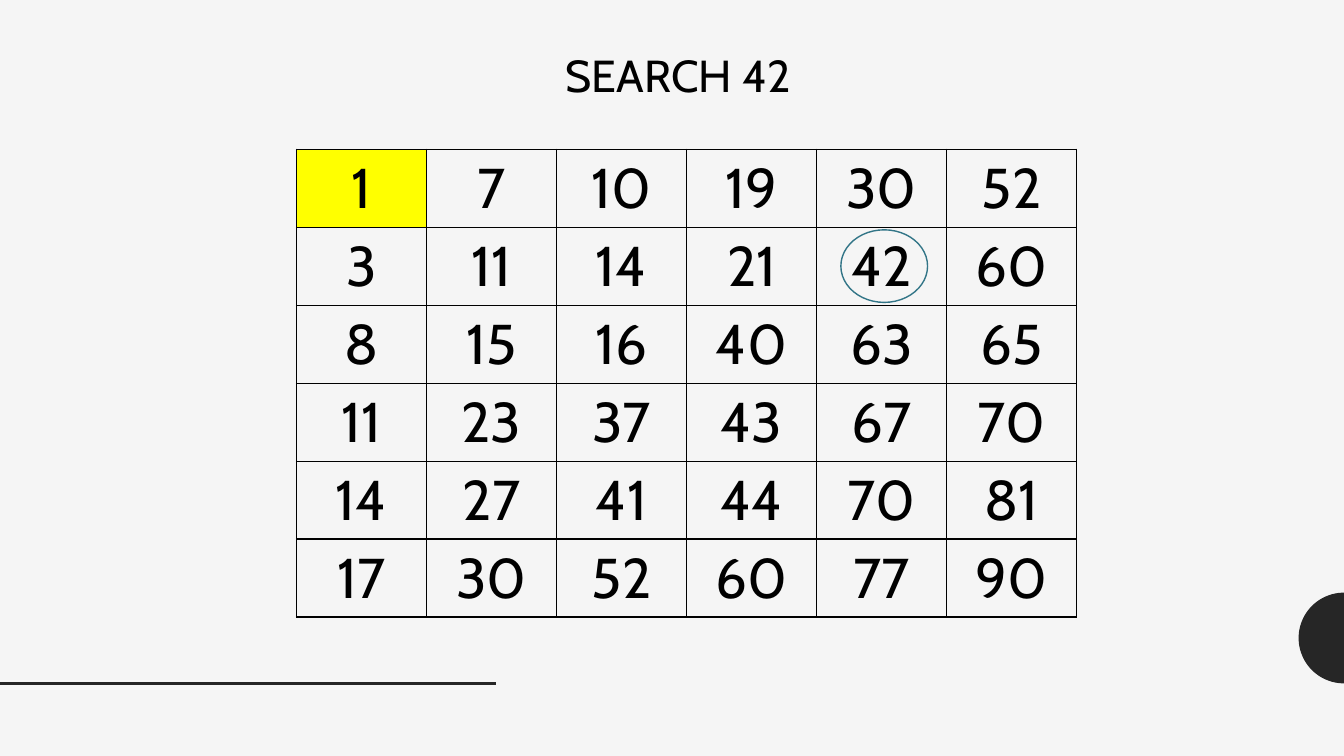
import math

from lxml import etree
from pptx import Presentation
from pptx.dml.color import RGBColor
from pptx.enum import shapes, text
from pptx.oxml import ns
from pptx.util import Inches, Pt

PAPER = RGBColor(0xF5, 0xF5, 0xF5)
BLACK = RGBColor(0x00, 0x00, 0x00)
CHARCOAL = RGBColor(0x26, 0x26, 0x26)
YELLOW = RGBColor(0xFF, 0xFF, 0x00)
TEAL = RGBColor(0x32, 0x75, 0x87)

MATRIX = [
    [1, 7, 10, 19, 30, 52],
    [3, 11, 14, 21, 42, 60],
    [8, 15, 16, 40, 63, 65],
    [11, 23, 37, 43, 67, 70],
    [14, 27, 41, 44, 70, 81],
    [17, 30, 52, 60, 77, 90],
]


class SlideBuilder:
    """Holds the style and the current page."""

    font = "Cabin"

    def __init__(self, deck):
        self.page = deck.slides.add_slide(deck.slide_layouts[5])
        self.page.background.fill.solid()
        self.page.background.fill.fore_color.rgb = PAPER

    def add_span(self, para, words, size):
        span = para.add_run()
        span.text = words
        span.font.name = self.font
        span.font.size = Pt(size)
        span.font.bold = False
        span.font.color.rgb = BLACK

    def title(self, words, left, top, width, height):
        box = self.page.shapes.title
        box.left, box.top = Inches(left), Inches(top)
        box.width, box.height = Inches(width), Inches(height)
        frame = box.text_frame
        frame.word_wrap = True
        frame.auto_size = text.MSO_AUTO_SIZE.NONE
        frame.vertical_anchor = text.MSO_ANCHOR.TOP
        para = frame.paragraphs[0]
        para.alignment = text.PP_ALIGN.LEFT
        self.add_span(para, words, 32)

    def half_disc(self, center_x, center_y, radius, steps=48):
        """Left half of a disc, flat against the page edge."""
        angles = [math.pi * (0.5 + step / steps) for step in range(steps + 1)]
        points = [(Inches(center_x + radius * math.cos(angle)),
                   Inches(center_y + radius * math.sin(angle)))
                  for angle in angles]
        outline = self.page.shapes.build_freeform(*points[0])
        outline.add_line_segments(points[1:], close=True)
        disc = outline.convert_to_shape()
        disc.shadow.inherit = False
        disc.fill.solid()
        disc.fill.fore_color.rgb = CHARCOAL
        disc.line.fill.background()

    def rule(self, left, right, top):
        line = self.page.shapes.add_connector(
            shapes.MSO_CONNECTOR.STRAIGHT,
            Inches(left), Inches(top), Inches(right), Inches(top))
        line.line.color.rgb = CHARCOAL
        line.line.width = Pt(2)
        etree.SubElement(line._element.spPr, ns.qn("a:effectLst"))

    def ring(self, left, top, width, height):
        ring = self.page.shapes.add_shape(
            shapes.MSO_SHAPE.OVAL, Inches(left), Inches(top),
            Inches(width), Inches(height))
        ring.shadow.inherit = False
        ring.fill.background()
        ring.line.color.rgb = TEAL
        ring.line.width = Pt(1)

    def border(self, cell):
        properties = cell._tc.get_or_add_tcPr()
        for position, side in enumerate(("lnL", "lnR", "lnT", "lnB")):
            edge = etree.Element(ns.qn(f"a:{side}"), w=str(Pt(1)))
            fill = etree.SubElement(edge, ns.qn("a:solidFill"))
            etree.SubElement(fill, ns.qn("a:srgbClr"), val=str(BLACK))
            properties.insert(position, edge)

    def number_grid(self, values, marked, left, top, column, row):
        rows, columns = len(values), len(values[0])
        grid = self.page.shapes.add_table(
            rows, columns, Inches(left), Inches(top),
            Inches(column * columns), Inches(row * rows)).table
        grid.first_row = grid.horz_banding = False
        for row_index, numbers in enumerate(values):
            for column_index, number in enumerate(numbers):
                cell = grid.cell(row_index, column_index)
                if (row_index, column_index) == marked:
                    cell.fill.solid()
                    cell.fill.fore_color.rgb = YELLOW
                else:
                    cell.fill.background()
                self.border(cell)
                para = cell.text_frame.paragraphs[0]
                para.alignment = text.PP_ALIGN.CENTER
                self.add_span(para, str(number), 40)


def main():
    deck = Presentation()
    deck.slide_width, deck.slide_height = Inches(13.33), Inches(7.5)
    slide = SlideBuilder(deck)

    # Page decoration
    slide.half_disc(13.33, 6.33, 0.45)
    slide.rule(0, 4.92, 6.78)

    # Sorted matrix, with the start cell marked and the target ringed
    slide.number_grid(MATRIX, (0, 0), 2.94, 1.48, 1.29, 0.77)
    slide.ring(8.34, 2.28, 0.86, 0.72)

    # Heading
    slide.title("SEARCH 42", 5.51, 0.42, 6.51, 0.64)

    deck.save("out.pptx")


if __name__ == "__main__":
    main()
